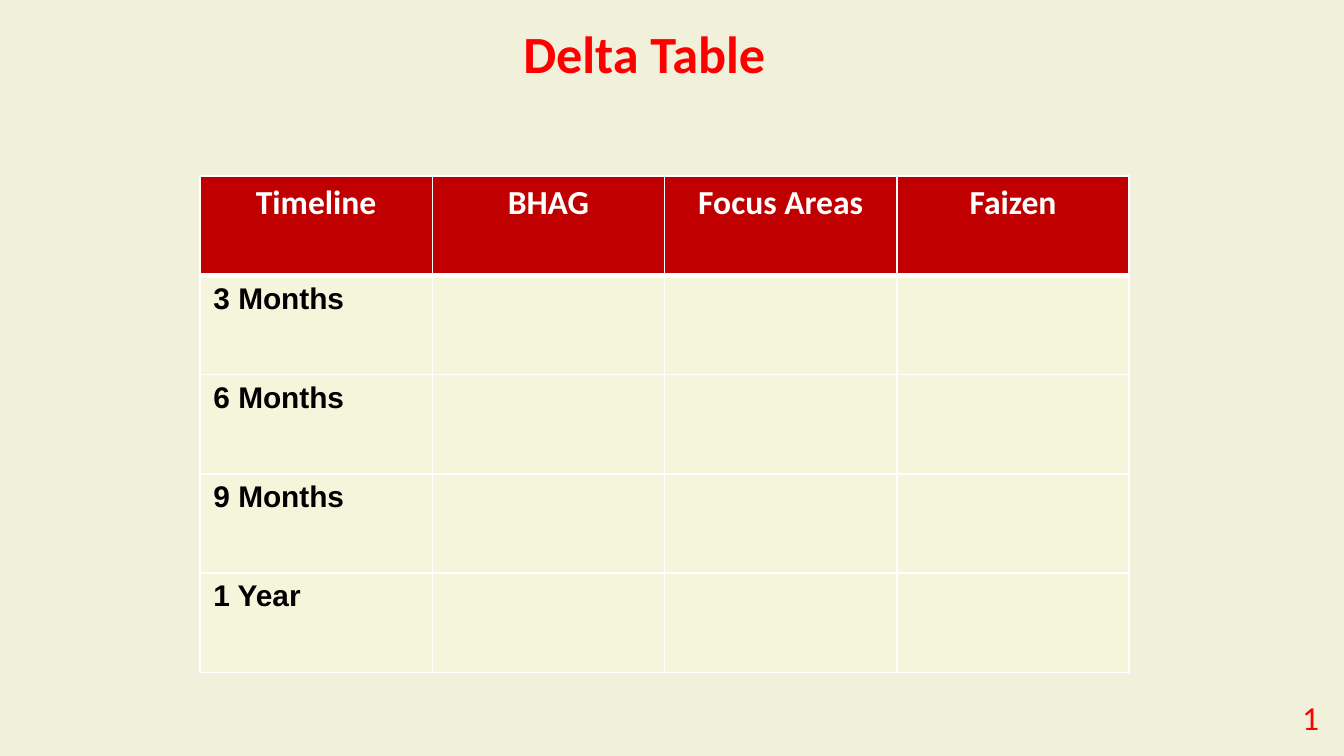
from collections import namedtuple
from dataclasses import dataclass

from lxml.etree import SubElement
from pptx import Presentation
from pptx.dml.color import RGBColor as Color
from pptx.enum.text import MSO_ANCHOR as Anchor, PP_ALIGN as Align
from pptx.oxml.ns import qn
from pptx.util import Cm, Pt

Box = namedtuple("Box", "left top width height")


@dataclass(frozen=True)
class Theme:
    background: str = "F1F0DA"
    accent: str = "FF0000"
    header_fill: str = "C00000"
    header_text: str = "FFFFFF"
    body_fill: str = "F5F5DC"
    body_text: str = "000000"
    border: str = "FFFFFF"
    heading_font: str = "Calibri"
    body_font: str = "Arial"
    title_size: int = 28
    header_size: int = 18
    body_size: int = 16
    number_size: int = 18
    thin: int = 1
    thick: int = 3


THEME = Theme()
HEADERS = ["Timeline", "BHAG", "Focus Areas", "Faizen"]
PERIODS = ["3 Months", "6 Months", "9 Months", "1 Year"]


def write(frame, text, font, size, color, bold=False, align=Align.LEFT):
    """Put one formatted paragraph into a text frame."""
    para = frame.paragraphs[0]
    para.text = text
    para.alignment = align
    para.font.name = font
    para.font.size = Pt(size)
    para.font.bold = bold
    para.font.color.rgb = Color.from_string(color)


def set_borders(cell, top, bottom):
    """Draw the four sides of a cell; the side lines are always thin."""
    properties = cell._tc.get_or_add_tcPr()
    widths = {"a:lnL": THEME.thin, "a:lnR": THEME.thin, "a:lnT": top, "a:lnB": bottom}
    for tag, width in widths.items():
        line = SubElement(properties, qn(tag), w=str(Pt(width)))
        fill = SubElement(line, qn("a:solidFill"))
        SubElement(fill, qn("a:srgbClr"), val=THEME.border)


def add_title(page, box):
    title = page.shapes.title
    title.left, title.top, title.width, title.height = box
    frame = title.text_frame
    frame.word_wrap = True
    frame.vertical_anchor = Anchor.TOP
    frame.margin_left = frame.margin_right = Cm(0.25)
    frame.margin_top = frame.margin_bottom = Cm(0.25)
    write(frame, "Delta Table", THEME.heading_font, THEME.title_size,
          THEME.accent, bold=True, align=Align.CENTER)


def add_timeline_table(page, box):
    table = page.shapes.add_table(len(PERIODS) + 1, len(HEADERS), *box).table
    table.horz_banding = False

    # Header row
    for column, header in enumerate(HEADERS):
        write(table.cell(0, column).text_frame, header, THEME.heading_font,
              THEME.header_size, THEME.header_text, bold=True, align=Align.CENTER)

    # Period labels in the first column
    for row, period in enumerate(PERIODS, start=1):
        write(table.cell(row, 0).text_frame, period, THEME.body_font,
              THEME.body_size, THEME.body_text, bold=True)

    # Borders and fills, with a thick rule under the header
    for row in range(len(table.rows)):
        top = THEME.thick if row == 1 else THEME.thin
        bottom = THEME.thick if row == 0 else THEME.thin
        color = THEME.header_fill if row == 0 else THEME.body_fill
        for cell in table.rows[row].cells:
            set_borders(cell, top, bottom)
            cell.fill.solid()
            cell.fill.fore_color.rgb = Color.from_string(color)


def add_page_number(page, box):
    frame = page.shapes.add_textbox(*box).text_frame
    frame.word_wrap = True
    frame.vertical_anchor = Anchor.MIDDLE
    frame.margin_left = frame.margin_right = Cm(0.25)
    # The bottom margin lifts the number above the slide edge
    frame.margin_top, frame.margin_bottom = Cm(0), Cm(0.66)
    write(frame, "1", THEME.heading_font, THEME.number_size,
          THEME.accent, align=Align.RIGHT)


def main():
    deck = Presentation()
    deck.slide_width, deck.slide_height = Cm(25.4), Cm(14.29)
    title_only = deck.slide_layouts[5]
    page = deck.slides.add_slide(title_only)
    page.background.fill.solid()
    page.background.fill.fore_color.rgb = Color.from_string(THEME.background)

    add_title(page, Box(Cm(-0.18), Cm(0.15), Cm(24.71), Cm(1.7)))
    add_page_number(page, Box(Cm(21.34), Cm(13.46), Cm(3.84), Cm(0.84)))
    add_timeline_table(page, Box(Cm(3.78), Cm(3.33), Cm(17.56), Cm(9.38)))
    deck.save("out.pptx")


if __name__ == "__main__":
    main()
